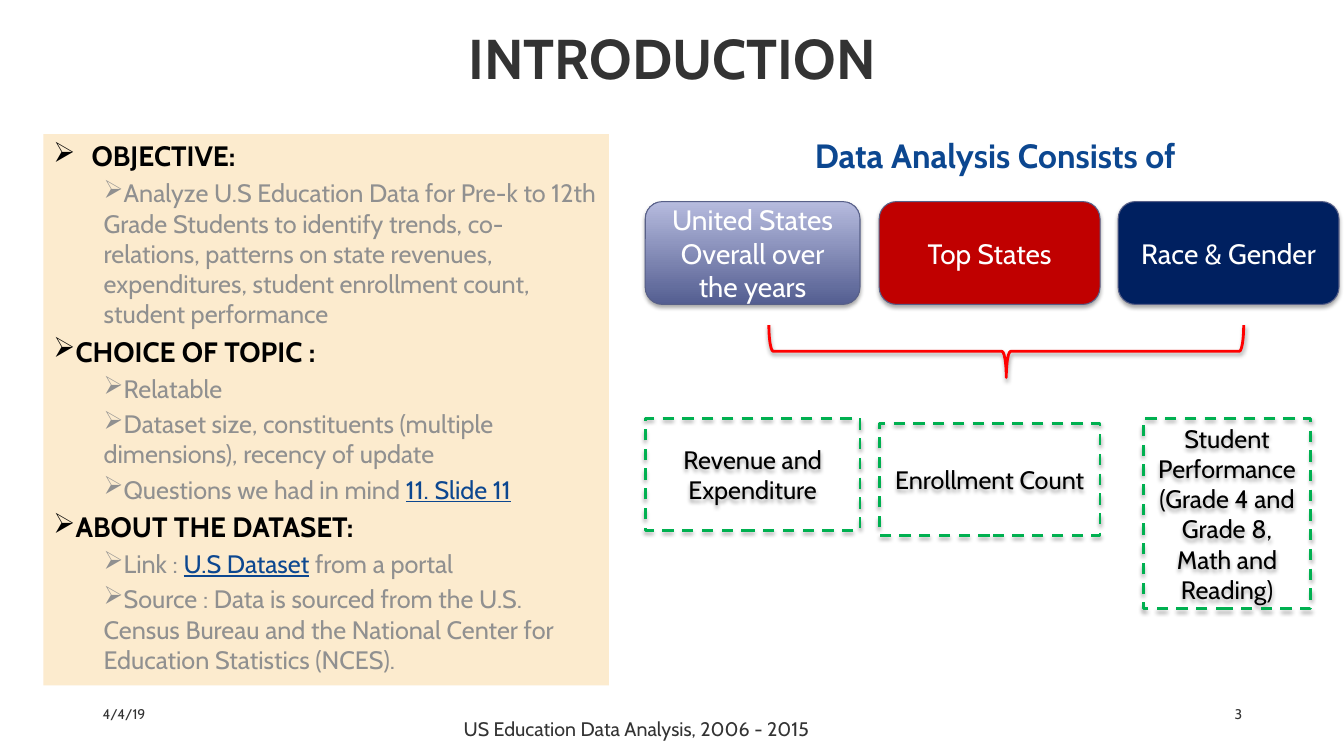
from dataclasses import dataclass

from lxml import etree
from pptx import Presentation, util as u
from pptx.dml.color import RGBColor
from pptx.enum import dml, shapes, text
from pptx.oxml import ns

PX = 9144
SHAPE = shapes.MSO_SHAPE
ALIGN = text.PP_ALIGN
ANCHOR = text.MSO_ANCHOR


@dataclass(frozen=True)
class Theme:
    font: str = "Cabin"
    ink: str = "333333"
    black: str = "000000"
    white: str = "FFFFFF"
    grey: str = "909090"
    blue: str = "0C4790"
    cream: str = "FCEBCE"
    slate: str = "586088"
    slate_dark: str = "545E91"
    slate_light: str = "B6BBDE"
    red: str = "C00000"
    navy: str = "002060"
    green: str = "00B050"
    brace: str = "FF0000"
    title: int = 40
    heading: int = 24
    large: int = 20
    body: int = 18
    footer: int = 14
    small: int = 10


class SlideBuilder:
    def __init__(self, deck, theme):
        self.theme = theme
        self.page = deck.slides.add_slide(deck.slide_layouts[5])

    def rgb(self, name):
        return RGBColor.from_string(getattr(self.theme, name))

    def span(self, para, words, size, color, **formats):
        span = para.add_run()
        span.text = words
        values = {"name": self.theme.font, "size": u.Pt(getattr(self.theme, size)), **formats}
        for key, value in values.items():
            setattr(span.font, key, value)
        span.font.color.rgb = self.rgb(color)

    def frame(self, box, anchor=ANCHOR.TOP):
        frame = box.text_frame
        values = {"word_wrap": True, "auto_size": text.MSO_AUTO_SIZE.NONE, "vertical_anchor": anchor}
        for key, value in values.items():
            setattr(frame, key, value)
        return frame

    def title(self, words, place):
        box = self.page.shapes.title
        for key, value in zip(("left", "top", "width", "height"), place):
            setattr(box, key, value * PX)
        para = self.frame(box).paragraphs[0]
        para.alignment = ALIGN.CENTER
        self.span(para, words, "title", "ink", bold=True)

    def label(self, words, place, size, color="ink", align=ALIGN.LEFT, **formats):
        box = self.page.shapes.add_textbox(*(value * PX for value in place))
        para = self.frame(box).paragraphs[0]
        para.alignment = align
        self.span(para, words, size, color, **formats)

    def shape(self, kind, place, fill=None, line=None, width=2, dashed=False):
        box = self.page.shapes.add_shape(kind, *(value * PX for value in place))
        box.shadow.inherit = False
        if isinstance(fill, tuple):
            box.fill.gradient()
            box.fill.gradient_angle = 90
            for stop, color in zip(box.fill.gradient_stops, fill):
                stop.color.rgb = self.rgb(color)
        elif fill:
            box.fill.solid()
            box.fill.fore_color.rgb = self.rgb(fill)
        else:
            box.fill.background()
        if line:
            box.line.color.rgb = self.rgb(line)
            box.line.width = u.Pt(width)
            if dashed:
                box.line.dash_style = dml.MSO_LINE.DASH
        else:
            box.line.fill.background()
        return box

    def shadow(self, box, opacity=35):
        effects = box._element.spPr.find(ns.qn("a:effectLst"))
        outer = etree.SubElement(effects, ns.qn("a:outerShdw"), blurRad=str(u.Pt(3.1)),
                                 dist=str(u.Pt(1.8)), dir="5400000", rotWithShape="0")
        color = etree.SubElement(outer, ns.qn("a:srgbClr"), val=self.theme.black)
        etree.SubElement(color, ns.qn("a:alpha"), val=str(opacity * 1000))

    def card(self, words, kind, place, size, color, **look):
        box = self.shape(kind, place, **look)
        self.shadow(box)
        para = self.frame(box, ANCHOR.MIDDLE).paragraphs[0]
        para.alignment = ALIGN.CENTER
        self.span(para, words, size, color)

    def brace(self, place):
        box = self.shape(SHAPE.RIGHT_BRACE, place, line="brace")
        box.rotation = 90
        self.shadow(box, 38)

    def bullet(self, para, margin, indent):
        props = para._p.get_or_add_pPr()
        props.set("marL", str(margin * PX))
        props.set("indent", str(indent * PX))
        etree.SubElement(props, ns.qn("a:buChar"), char="➢")

    def outline(self, place, sections):
        frame = self.frame(self.shape(SHAPE.RECTANGLE, place, fill="cream"))
        for number, (heading, points) in enumerate(sections):
            para = frame.add_paragraph() if number else frame.paragraphs[0]
            para.alignment = ALIGN.LEFT
            if number:
                para.space_before = u.Pt(4)
                self.bullet(para, 0, 0)
            else:
                self.bullet(para, 38, -38)
            self.span(para, heading, "large", "black", bold=True)
            for point in points:
                para = frame.add_paragraph()
                para.level = 1
                para.alignment = ALIGN.LEFT
                para.space_before = u.Pt(3.6)
                self.bullet(para, 50, 0)
                for position, words in enumerate(point):
                    linked = position == 1
                    self.span(para, words, "body", "blue" if linked else "grey", underline=linked)


SECTIONS = [
    ("OBJECTIVE:", [
        ("Analyze U.S Education Data for Pre-k to 12th Grade Students to identify trends, "
         "co-relations, patterns on state revenues, expenditures, student enrollment count, "
         "student performance",),
    ]),
    ("CHOICE OF TOPIC :", [
        ("Relatable",),
        ("Dataset size, constituents (multiple dimensions), recency of update",),
        ("Questions we had in mind ", "11. Slide 11"),
    ]),
    ("ABOUT THE DATASET:", [
        ("Link : ", "U.S Dataset", " from a portal"),
        ("Source : Data is sourced from the U.S. Census Bureau and the National Center for "
         "Education Statistics (NCES).",),
    ]),
]
SCOPES = [
    ("United States Overall over the years", 640, 213, ("slate_dark", "slate_light")),
    ("Top States", 872, 219, "red"),
    ("Race & Gender", 1109, 219, "navy"),
]
MEASURES = [
    ("Revenue and Expenditure", (640, 415, 213, 111)),
    ("Enrollment Count", (872, 420, 219, 111)),
    ("Student Performance (Grade 4 and Grade 8, Math and Reading)", (1134, 415, 166, 189)),
]


def main():
    deck = Presentation()
    deck.slide_width = 1333 * PX
    deck.slide_height = 750 * PX
    slide = SlideBuilder(deck, Theme())
    slide.title("INTRODUCTION", (100, 18, 1133, 217))
    slide.outline((43, 133, 561, 547), SECTIONS)
    slide.label("Data Analysis Consists of", (743, 129, 488, 50), "heading", "blue",
                ALIGN.CENTER, bold=True)
    for words, left, width, fill in SCOPES:
        slide.card(words, SHAPE.ROUNDED_RECTANGLE, (left, 200, width, 102), "large", "white",
                   fill=fill, line="slate", width=0.75)
    for words, place in MEASURES:
        slide.card(words, SHAPE.RECTANGLE, place, "body", "black", line="green", dashed=True)
    slide.brace((972, 113, 52, 471))
    slide.label("US Education Data Analysis, 2006 - 2015", (450, 706, 369, 40), "footer")
    slide.label("4/4/19", (92, 695, 300, 40), "small")
    slide.label("3", (942, 695, 300, 40), "small", align=ALIGN.RIGHT)
    deck.save("out.pptx")


if __name__ == "__main__":
    main()
